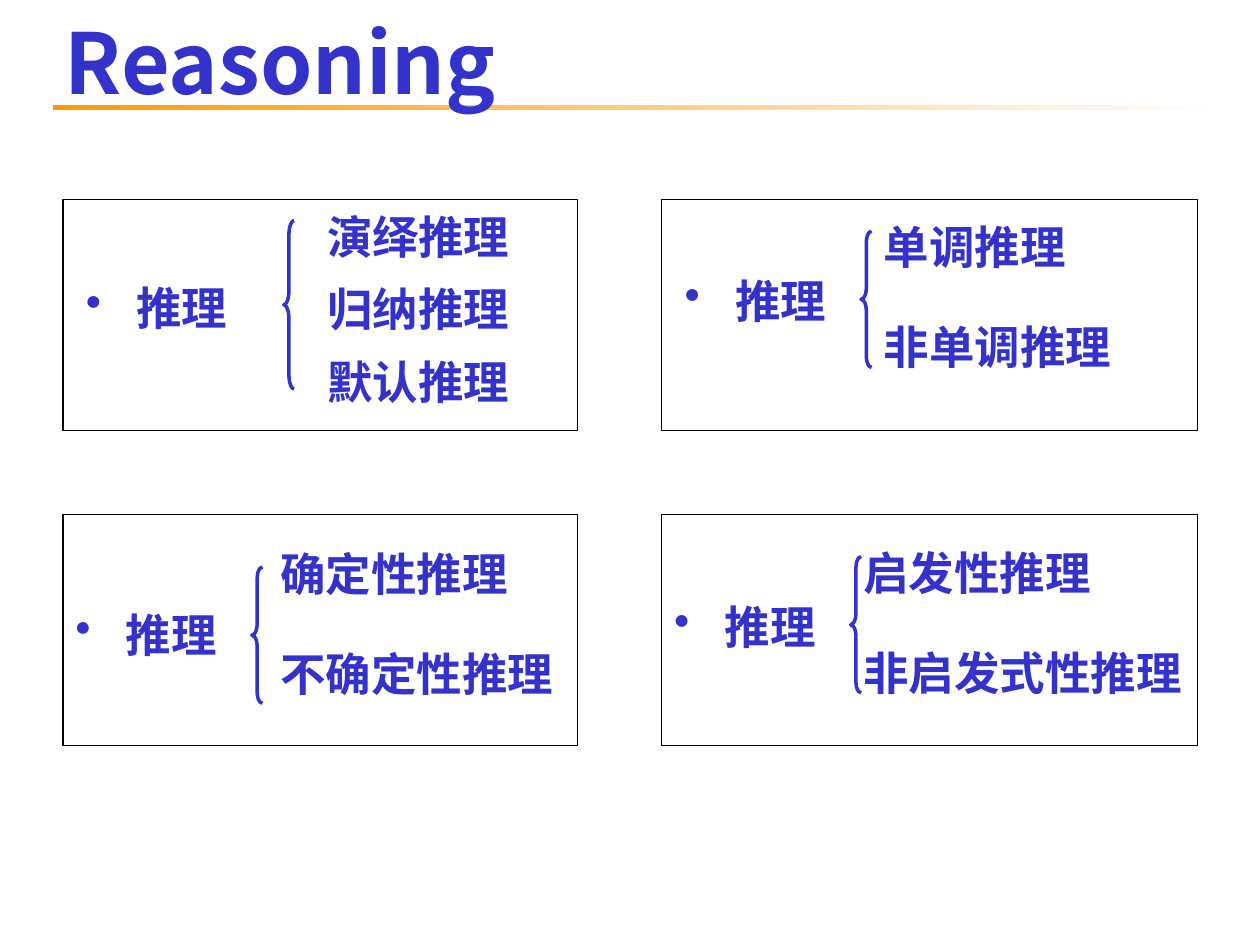
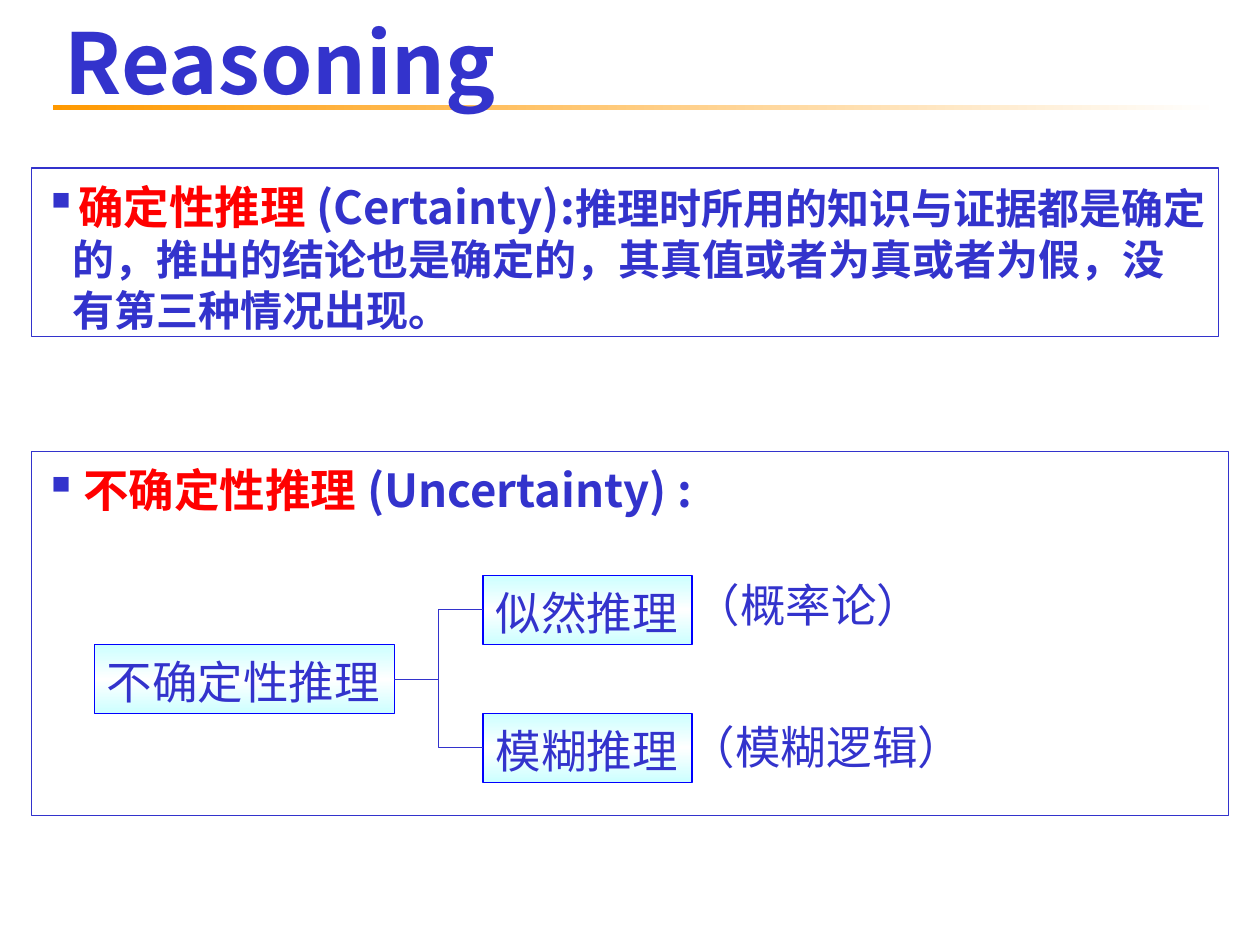
from lxml.etree import SubElement
from pptx import Presentation
from pptx.dml.color import RGBColor
from pptx.enum.shapes import MSO_CONNECTOR as Link, MSO_SHAPE as Shape
from pptx.enum.text import MSO_ANCHOR as Anchor, PP_ALIGN as Align
from pptx.oxml.ns import qn
from pptx.util import Cm, Pt

# Shared style
FONT = "Noto Sans CJK SC"
BLUE, RED, BLACK, WHITE = "3333CC", "FF0000", "000000", "FFFFFF"
NODE_LINE = "0000FF"
BAR_STOPS = [(0, "FF9900"), (100, WHITE)]
NODE_STOPS = [(0, "CCFFFF"), (50, WHITE), (100, "CCFFFF")]
SIZE, LEADING = 26, 31
TITLE = "Reasoning"

# Slide 1: four ways to divide reasoning (positions in cm)
COLUMNS = [(1.27, 10.37), (13.34, 10.8)]
ROWS = [4.02, 10.37]
PANEL_HEIGHT = 4.66
TOPIC = "推理"
DIVISIONS = [
    dict(kinds=["演绎推理", "归纳推理", "默认推理"], gap=10.4, topic=(1.48, 5.46),
         brace=(5.72, 4.45, 3.39), listing=(6.35, 4.02, 4.45)),
    dict(kinds=["单调推理", "非单调推理"], gap=26, topic=(13.55, 5.31),
         brace=(17.36, 4.66, 2.75), listing=(17.57, 4.23, 3.56)),
    dict(kinds=["确定性推理", "不确定性推理"], gap=26, topic=(1.27, 12.04),
         brace=(5.08, 11.43, 2.75), listing=(5.4, 10.82, 3.56)),
    dict(kinds=["启发性推理", "非启发式性推理"], gap=26, topic=(13.34, 11.89),
         brace=(17.15, 11.22, 2.75), listing=(17.15, 10.8, 3.56)),
]

# Slide 2: definitions as (text, colour, size) and a small tree
CERTAINTY = [
    ("确定性推理 ", RED, 26), ("(Certainty):", BLUE, 26),
    ("推理时所用的知识与证据都是确定的，推出的结论也是确定的，"
     "其真值或者为真或者为假，没有第三种情况出现。", BLUE, 24),
]
UNCERTAINTY = [("不确定性推理 ", RED, 26), ("(Uncertainty) :", BLUE, 26)]
ROOT = ("不确定性推理", 1.9, 13.0)
BRANCHES = [("似然推理", 9.74, 11.6), ("模糊推理", 9.74, 14.38)]
THEORIES = [("（概率论）", 13.76, 11.43), ("（模糊逻辑）", 13.66, 14.3)]


def rgb(value):
    return RGBColor.from_string(value)


def text_width(text):
    return 0.92 * len(text) + 0.53


def add_shape(page, kind, left, top, width, height, fill=None, line=None, weight=0.75):
    """Add a preset shape; fill is a colour, a list of gradient stops or None."""
    shape = page.shapes.add_shape(kind, Cm(left), Cm(top), Cm(width), Cm(height))
    shape.shadow.inherit = False
    if fill is None:
        shape.fill.background()
    elif isinstance(fill, str):
        shape.fill.solid()
        shape.fill.fore_color.rgb = rgb(fill)
    else:
        shape.fill.gradient()
        shape.fill.gradient_angle = 0 if fill is BAR_STOPS else 90
        stops = shape._element.spPr.find(".//" + qn("a:gsLst"))
        for old in list(stops):
            stops.remove(old)
        for percent, colour in fill:
            stop = SubElement(stops, qn("a:gs"), pos=str(percent * 1000))
            SubElement(stop, qn("a:srgbClr"), val=colour)
    if line:
        shape.line.color.rgb = rgb(line)
        shape.line.width = Pt(weight)
    else:
        shape.line.fill.background()
    return shape


def add_box(page, left, top, width, height):
    return page.shapes.add_textbox(Cm(left), Cm(top), Cm(width), Cm(height))


def set_frame(box, top=0.2, right=0):
    frame = box.text_frame
    frame.word_wrap = True
    frame.vertical_anchor = Anchor.TOP
    frame.margin_left, frame.margin_right = Cm(0.25), Cm(right)
    frame.margin_top, frame.margin_bottom = Cm(top), Cm(0.13)
    return frame


def set_bullet(para, char, indent):
    props = para._p.get_or_add_pPr()
    props.set("marL", str(Cm(indent)))
    props.set("indent", str(-Cm(indent)))
    colour = SubElement(props, qn("a:buClr"))
    SubElement(colour, qn("a:srgbClr"), val=BLUE)
    SubElement(props, qn("a:buChar"), char=char)


def style(para, size=SIZE, bold=True, leading=LEADING):
    para.alignment = Align.LEFT
    para.line_spacing = Pt(leading)
    font = para.font
    font.size, font.bold = Pt(size), bold
    font.color.rgb = rgb(BLUE)
    font.name = FONT
    SubElement(para._p.pPr.find(qn("a:defRPr")), qn("a:ea"), typeface=FONT)


def write(box, lines, gap=0, **look):
    frame = set_frame(box)
    for number, line in enumerate(lines):
        para = frame.add_paragraph() if number else frame.paragraphs[0]
        para.text = line
        if number:
            para.space_before = Pt(gap)
        style(para, **look)


def write_definition(box, parts, indent, leading, top):
    para = set_frame(box, top, right=0.25).paragraphs[0]
    set_bullet(para, "▪", indent)
    style(para, leading=leading)
    for text, colour, size in parts:
        span = para.add_run()
        span.text = text
        span.font.size = Pt(size)
        span.font.color.rgb = rgb(colour)


def add_page(deck):
    page = deck.slides.add_slide(deck.slide_layouts[6])
    add_shape(page, Shape.RECTANGLE, 1.06, 2.12, 23.5, 0.1, BAR_STOPS)
    write(add_box(page, 1.06, 0, 24.34, 2.12), [TITLE], size=48, leading=58)
    return page


def add_division(page, kinds, gap, topic, brace, listing):
    label = add_box(page, *topic, 3.96, 1.37)
    set_bullet(label.text_frame.paragraphs[0], "•", 1.02)
    write(label, [TOPIC])

    left, top, height = brace
    curve = add_shape(page, Shape.LEFT_BRACE, left, top, 0.21, height, None, BLUE, 2)
    curve.adjustments[0] = 1.33 if len(kinds) == 3 else 1.11

    left, top, height = listing
    width = max(map(text_width, kinds))
    write(add_box(page, left, top, width, height), kinds, gap)


def add_node(page, text, left, top):
    node = add_shape(page, Shape.RECTANGLE, left, top, text_width(text), 1.39,
                     NODE_STOPS, NODE_LINE)
    write(node, [text], bold=False)
    return node


def add_link(page, start, end):
    link = page.shapes.add_connector(Link.ELBOW, 0, 0, 0, 0)
    link.begin_connect(start, 3)
    link.end_connect(end, 1)
    link.line.color.rgb = rgb(BLUE)
    link.line.width = Pt(0.75)
    SubElement(link._element.spPr, qn("a:effectLst"))


def build_divisions(deck):
    page = add_page(deck)
    for top in ROWS:
        for left, width in COLUMNS:
            add_shape(page, Shape.RECTANGLE, left, top, width, PANEL_HEIGHT, WHITE, BLACK)
    for division in DIVISIONS:
        add_division(page, **division)


def build_definitions(deck):
    page = add_page(deck)
    certain = add_shape(page, Shape.RECTANGLE, 0.64, 3.39, 23.92, 3.4, WHITE, BLUE)
    write_definition(certain, CERTAINTY, indent=0.58, leading=29, top=0.29)
    uncertain = add_shape(page, Shape.RECTANGLE, 0.64, 9.1, 24.13, 7.34, WHITE, BLUE)
    write_definition(uncertain, UNCERTAINTY, indent=0.79, leading=LEADING, top=0.22)

    # Tree of uncertain reasoning
    root = add_node(page, *ROOT)
    for branch in BRANCHES:
        add_link(page, root, add_node(page, *branch))
    for text, left, top in THEORIES:
        write(add_box(page, left, top, text_width(text), 1.35), [text], bold=False)


def main():
    deck = Presentation()
    deck.slide_width, deck.slide_height = Cm(25.4), Cm(19.05)
    build_divisions(deck)
    build_definitions(deck)
    deck.save("out.pptx")


if __name__ == "__main__":
    main()
